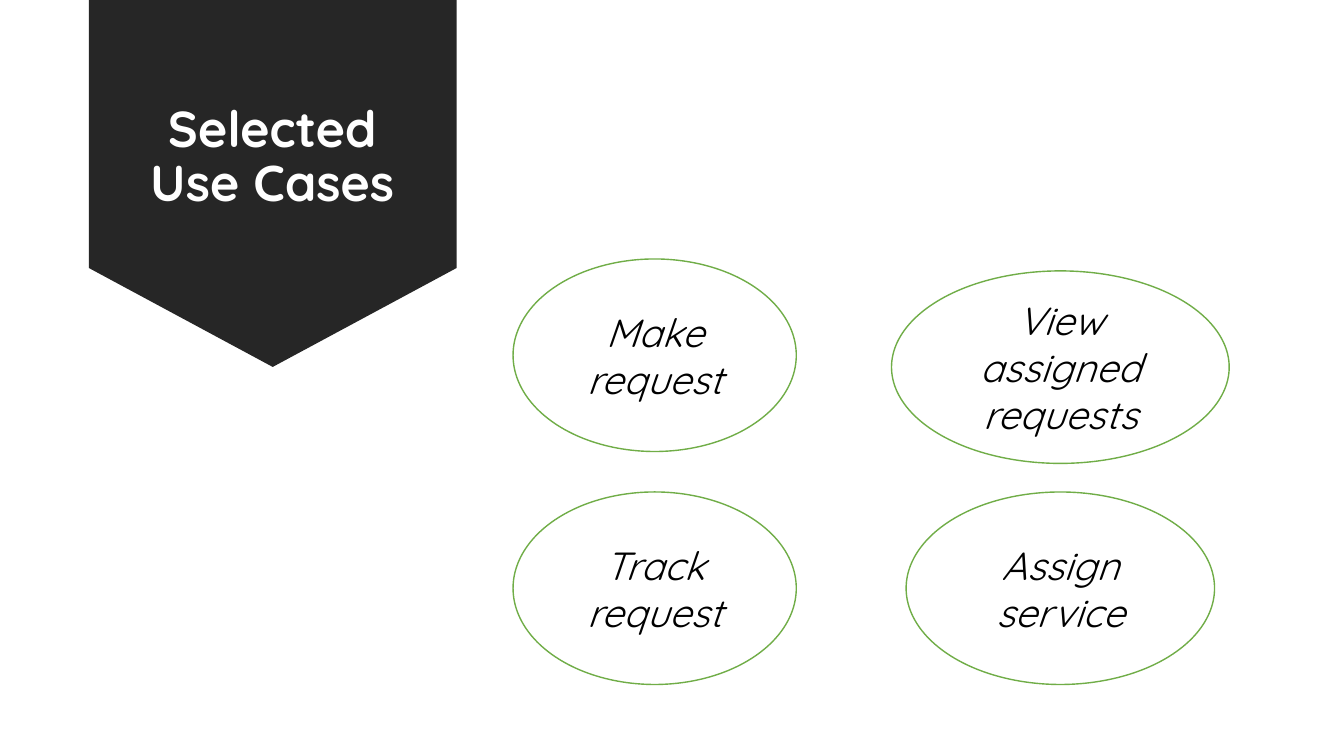
from pptx import Presentation
from pptx.dml.color import RGBColor
from pptx.enum.shapes import MSO_SHAPE as SHAPE
from pptx.enum.text import MSO_ANCHOR as ANCHOR, PP_ALIGN as ALIGN
from pptx.util import Pt

COLORS = {"banner": "262626", "white": "FFFFFF", "green": "70AD47", "black": "000000"}
FONT = "Quicksand"
OVAL_H = 137.5
LEFT_X, RIGHT_X = 467.6, 757.4
LOWER_Y = 351.4
USE_CASES = [
    ("Make request", LEFT_X, 185, 202.3),
    ("Assign service", RIGHT_X, LOWER_Y, 220.3),
    ("View assigned requests", RIGHT_X, 193.5, 241.2),
    ("Track request", LEFT_X, LOWER_Y, 202.3),
]


def color(name):
    return RGBColor.from_string(COLORS[name])


def write(sp, text, size, fill, bold=False, italic=False, spacing=1.0):
    tf = sp.text_frame
    tf.word_wrap = True
    tf.vertical_anchor = ANCHOR.MIDDLE
    p = tf.paragraphs[0]
    p.alignment = ALIGN.CENTER
    p.line_spacing = spacing
    r = p.add_run()
    r.text = text
    r.font.name = FONT
    r.font.size = Pt(size)
    r.font.bold = bold
    r.font.italic = italic
    r.font.color.rgb = color(fill)


def add_shape(s, kind, x, y, w, h, fill, line=None):
    sp = s.shapes.add_shape(kind, Pt(x), Pt(y), Pt(w), Pt(h))
    sp.shadow.inherit = False
    sp.fill.solid()
    sp.fill.fore_color.rgb = color(fill)
    if line:
        sp.line.color.rgb = color(line)
        sp.line.width = Pt(1)
    else:
        sp.line.fill.background()
    return sp


def add_banner(s, text, x, y, w, h):
    arrow = add_shape(s, SHAPE.DOWN_ARROW, x, y, w, h, "banner")
    arrow.adjustments[0] = 1
    arrow.adjustments[1] = 0.269
    title = s.shapes.title
    title.element.addprevious(arrow.element)
    title.left, title.top = Pt(x + 17.3), Pt(y + 15.8)
    title.width, title.height = Pt(w - 35.3), Pt(h - 67)
    write(title, text, 36, "white", bold=True, spacing=0.9)


def add_use_case(s, text, center, y, w, h):
    oval = add_shape(s, SHAPE.OVAL, center - w / 2, y, w, h, "white", "green")
    write(oval, text, 28, "black", italic=True)


def main():
    prs = Presentation()
    prs.slide_width, prs.slide_height = Pt(960), Pt(540)
    s = prs.slides.add_slide(prs.slide_layouts[5])
    add_banner(s, "Selected Use Cases", 63.4, -0.7, 262.8, 262.8)
    for text, center, y, w in USE_CASES:
        add_use_case(s, text, center, y, w, OVAL_H)
    prs.save("out.pptx")


if __name__ == "__main__":
    main()
